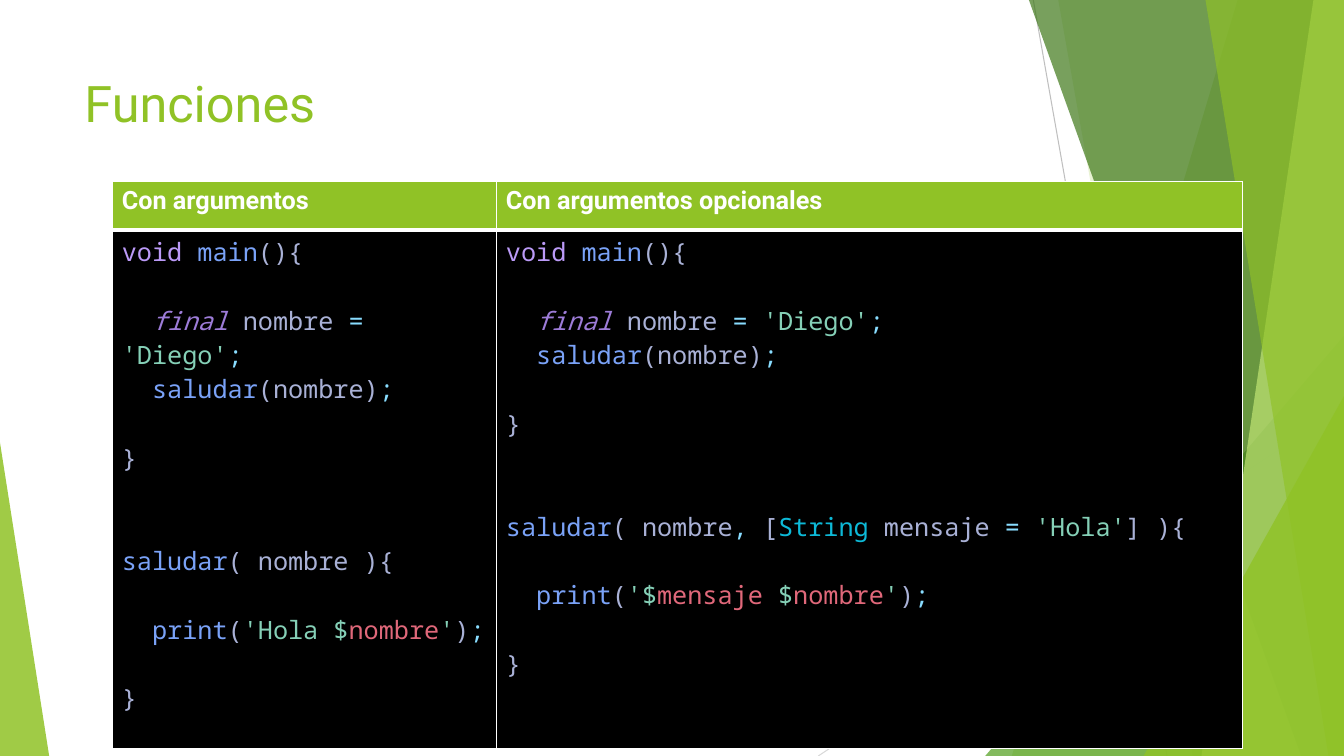
"""Build the Funciones slide: a code comparison table over green facets."""
import pptx
import pptx.dml.color
import pptx.enum.shapes
import pptx.oxml
import pptx.oxml.ns
import pptx.util
from lxml import etree

Cm, Pt, qn = pptx.util.Cm, pptx.util.Pt, pptx.oxml.ns.qn

WIDTH, HEIGHT = 33.87, 19.05
GREEN, WHITE, BLACK = "90C226", "FFFFFF", "000000"
HEADING_FONT, CODE_FONT = "Roboto", "Noto Sans Mono"
CODE_LINE = 24.5

TITLE = "Funciones"
TITLE_BOX = (1.88, 1.7, 23.88, 3.66)

LINES = [
    ((26.04, 0), (29.41, HEIGHT), "BFBFBF"),
    ((WIDTH, 10.24), (20.62, HEIGHT), "D9D9D9"),
]
FACETS = [
    ("band", (31.19, 25.5), GREEN, 30),
    ("band", (26.67, 30.05), GREEN, 20),
    ("right corner", (9.04, 10.59), "54A021", 72),
    ("band", (25.93, 32.79), "3F7819", 70),
    ("band", (33.1, 30.28), "C0E474", 70),
    ("band", (30.38, 33.48), GREEN, 65),
    ("right corner", (5.05, 9.07), GREEN, 80),
    ("left corner", (1.24, 7.9), GREEN, 85),
]

SYNTAX = {
    "type": "BB9AF7", "call": "7AA2F7", "plain": "A9B1D6", "final": "9D7CD8",
    "mark": "89DDFF", "string": "85D0B7", "value": "E0687A", "class": "0DB9D7",
}
MAIN = [
    (0, [("type", "void "), ("call", "main"), ("plain", "(){")]),
    (1, [("plain", "  "), ("final", "final"), ("plain", " nombre "), ("mark", "= "),
         ("string", "'Diego'"), ("mark", ";")]),
    (0, [("plain", "  "), ("call", "saludar"), ("plain", "(nombre)"), ("mark", ";")]),
    (1, [("plain", "}")]),
]
PRINT_START = [("plain", "  "), ("call", "print"), ("plain", "(")]
PRINT_END = [("value", "nombre"), ("string", "'"), ("plain", ")"), ("mark", ";")]
CLOSE = (1, [("plain", "}")])
COLUMNS = [
    ("Con argumentos", 9.68, MAIN + [
        (2, [("call", "saludar"), ("plain", "( nombre ){")]),
        (1, PRINT_START + [("string", "'Hola $")] + PRINT_END),
        CLOSE,
    ]),
    ("Con argumentos opcionales", 18.8, MAIN + [
        (2, [("call", "saludar"), ("plain", "( nombre"), ("mark", ","), ("plain", " ["),
             ("class", "String"), ("plain", " mensaje "), ("mark", "= "),
             ("string", "'Hola'"), ("plain", "] ){")]),
        (1, PRINT_START + [("string", "'$"), ("value", "mensaje"), ("string", " $")] + PRINT_END),
        CLOSE,
    ]),
]
TABLE_LEFT, TABLE_TOP = 2.84, 4.57
ROW_HEIGHTS = (1.22, 13.08)


def rgb(code):
    return pptx.dml.color.RGBColor.from_string(code)


def style(span, font, size, color, bold=False, italic=False):
    span.font.name, span.font.size = font, Pt(size)
    span.font.bold, span.font.italic = bold, italic
    span.font.color.rgb = rgb(color)


def add_line(page, start, end, color):
    line = page.shapes.add_connector(
        pptx.enum.shapes.MSO_CONNECTOR.STRAIGHT, *map(Cm, start + end))
    line.line.color.rgb = rgb(color)
    line.line.width = Pt(0.75)
    etree.SubElement(line.element.spPr, qn("a:effectLst"))


def add_facet(page, kind, size, color, opacity):
    if kind == "band":
        top_x, bottom_x = size
        builder = page.shapes.build_freeform(Cm(top_x), 0)
        corners = [(WIDTH, 0), (WIDTH, HEIGHT), (bottom_x, HEIGHT)]
        builder.add_line_segments([(Cm(x), Cm(y)) for x, y in corners], close=True)
        facet = builder.convert_to_shape()
    else:
        width, height = size
        on_right = kind == "right corner"
        facet = page.shapes.add_shape(
            pptx.enum.shapes.MSO_SHAPE.ISOSCELES_TRIANGLE,
            Cm(WIDTH - width if on_right else 0), Cm(HEIGHT - height), Cm(width), Cm(height))
        facet.adjustments[0] = 1 if on_right else 0
    facet.shadow.inherit = False
    facet.line.fill.background()
    facet.fill.solid()
    facet.fill.fore_color.rgb = rgb(color)
    tint = facet.element.spPr.find(qn("a:solidFill")).find(qn("a:srgbClr"))
    etree.SubElement(tint, qn("a:alpha"), val=str(opacity * 1000))


def format_cell(cell, color, top, bottom):
    properties = cell._tc.get_or_add_tcPr()
    for side, points in (("L", 1), ("R", 1), ("T", top), ("B", bottom)):
        border = etree.SubElement(properties, qn("a:ln" + side), w=str(Pt(points)))
        fill = etree.SubElement(border, qn("a:solidFill"))
        etree.SubElement(fill, qn("a:srgbClr"), val=WHITE)
    cell.fill.solid()
    cell.fill.fore_color.rgb = rgb(color)
    cell.margin_left = cell.margin_right = Cm(0.23)
    cell.margin_top = cell.margin_bottom = Cm(0.13)


def write_code(frame, code):
    for index, (gap, spans) in enumerate(code):
        para = frame.add_paragraph() if index else frame.paragraphs[0]
        if gap:
            para.space_before = Pt(gap * CODE_LINE)
        for token, text in spans:
            span = para.add_run()
            span.text = text
            style(span, CODE_FONT, 18, SYNTAX[token], italic=token == "final")


def add_code_table(page):
    width = sum(column[1] for column in COLUMNS)
    table = page.shapes.add_table(
        len(ROW_HEIGHTS), len(COLUMNS), Cm(TABLE_LEFT), Cm(TABLE_TOP),
        Cm(width), Cm(sum(ROW_HEIGHTS))).table
    for row, height in zip(table.rows, ROW_HEIGHTS):
        row.height = Cm(height)
    for index, (heading, column_width, code) in enumerate(COLUMNS):
        table.columns[index].width = Cm(column_width)
        head, body = table.cell(0, index), table.cell(1, index)
        format_cell(head, GREEN, 1, 3)
        format_cell(body, BLACK, 3, 1)
        head.text_frame.text = heading
        style(head.text_frame.paragraphs[0].runs[0], HEADING_FONT, 18, WHITE, bold=True)
        write_code(body.text_frame, code)


def main():
    deck = pptx.Presentation()
    deck.slide_width, deck.slide_height = Cm(WIDTH), Cm(HEIGHT)
    page = deck.slides.add_slide(deck.slide_layouts[6])
    for line in LINES:
        add_line(page, *line)
    for facet in FACETS:
        add_facet(page, *facet)
    box = page.shapes.add_textbox(*map(Cm, TITLE_BOX))
    box.text_frame.word_wrap = True
    box.text_frame.text = TITLE
    style(box.text_frame.paragraphs[0].runs[0], HEADING_FONT, 36, GREEN)
    add_code_table(page)
    deck.save("out.pptx")


if __name__ == "__main__":
    main()
